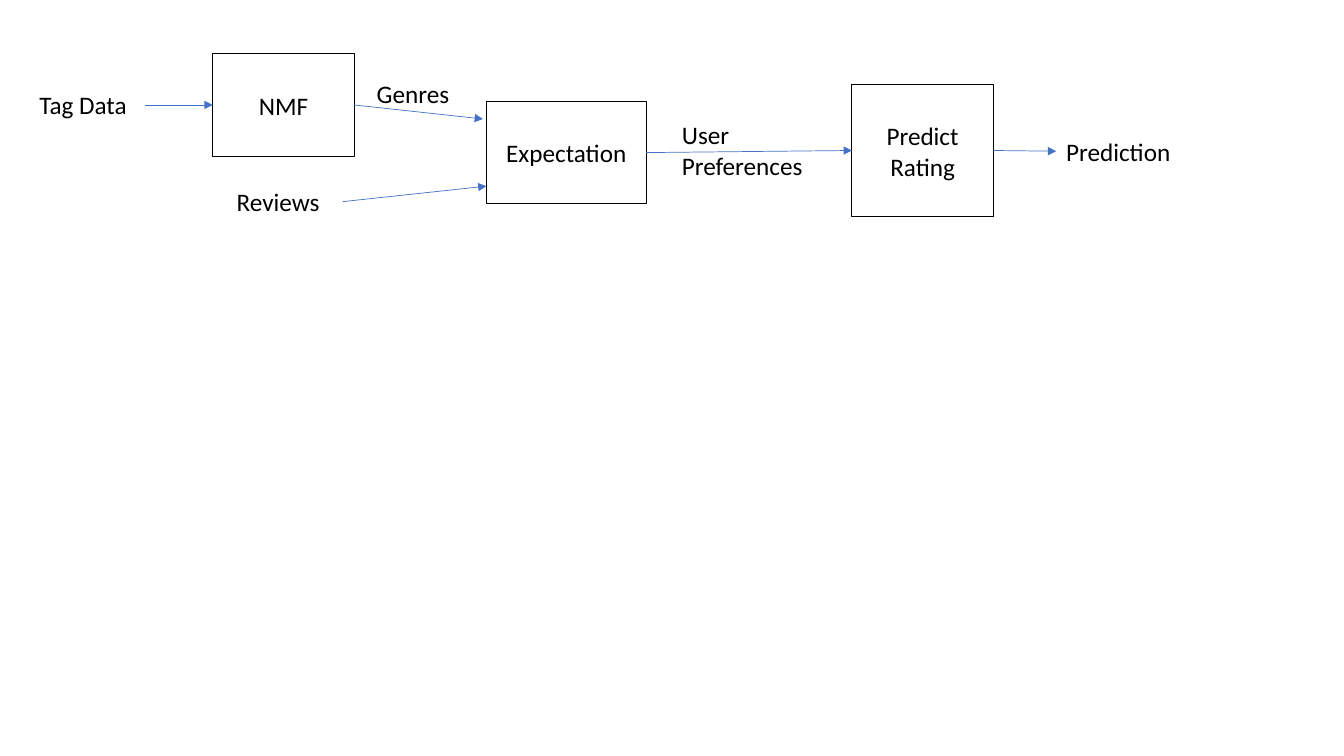
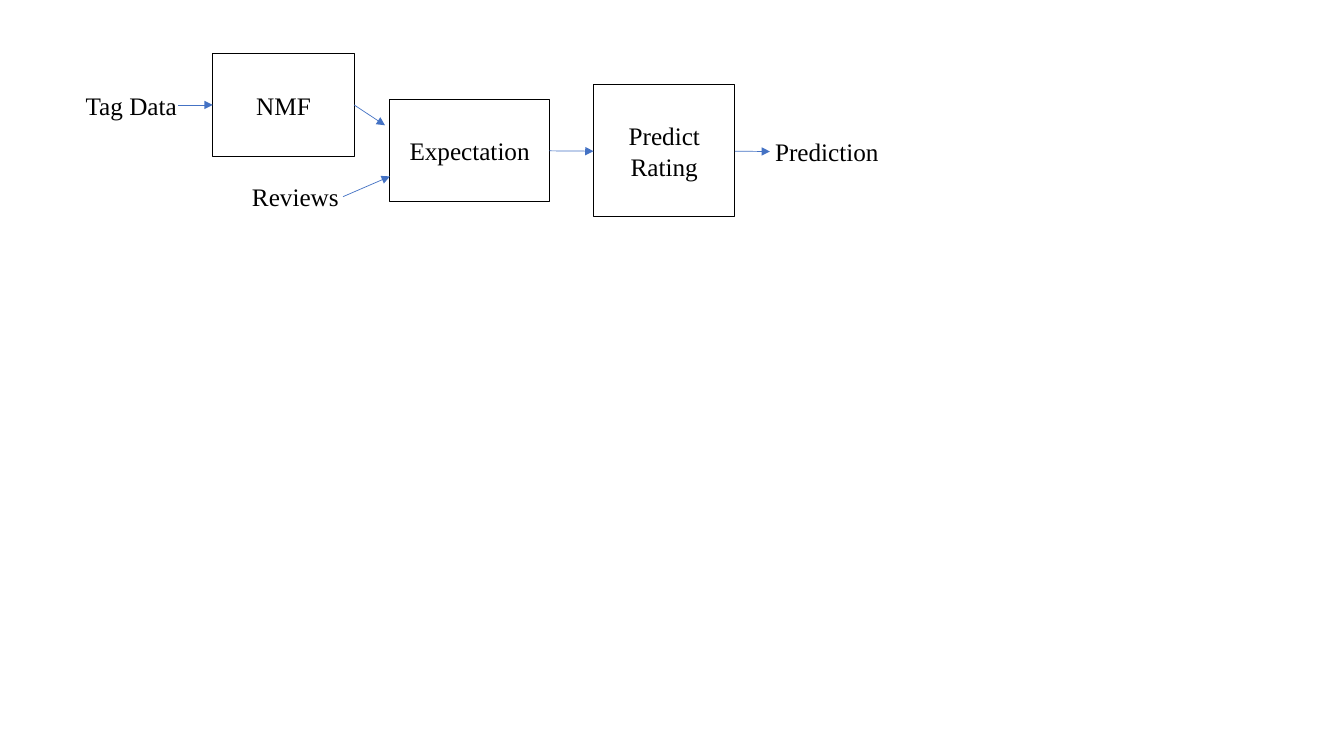
"""Builds two flow diagrams of a rating prediction pipeline."""
from pptx import Presentation, util as u
from pptx.dml.color import RGBColor
from pptx.enum import shapes, text
from pptx.oxml.ns import qn
from lxml import etree

BLACK, BLUE = "000000", "4472C4"
FONT_SIZE, BOX_LINE, ARROW_LINE = 18, 0.75, 0.5
BOX_SIZES = {"NMF": (101, 73), "Expectation": (114, 73), "Predict Rating": (101, 94.5)}
WIDE_INSETS, NO_INSETS, SLIM_INSETS = (7.2, 3.6, 7.2, 3.6), (0, 0, 0, 0), (3.6, 3.6, 7.2, 3.6)

DIAGRAMS = [
    {
        "font": "Calibri",
        "boxes": {"NMF": (152, 38.5), "Expectation": (347.5, 72.5), "Predict Rating": (608.5, 60.5)},
        "labels": [
            ("Tag Data", (21, 60.5, 83, 29), WIDE_INSETS),
            ("Reviews", (162, 129.6, 83, 29), WIDE_INSETS),
            ("Prediction", (754.5, 93.6, 103, 29), WIDE_INSETS),
            ("Genres", (262, 52.6, 83, 29), WIDE_INSETS),
            ("User Preferences", (480, 82, 107, 51), WIDE_INSETS),
        ],
        "arrows": [
            ((103.5, 75), (152, 75)),
            ((253, 75), (345, 85)),
            ((461.5, 109), (608.5, 107.5)),
            ((245, 144), (347.5, 133)),
            ((709.5, 107.5), (754.5, 108)),
        ],
    },
    {
        "font": "Times New Roman",
        "boxes": {"NMF": (152, 38.5), "Expectation": (278.5, 71), "Predict Rating": (424, 60.5)},
        "labels": [
            ("Tag Data", (61.2, 64.3, 67, 21.6), NO_INSETS),
            ("Reviews", (180, 129.6, 65, 21.6), NO_INSETS),
            ("Prediction", (550, 93.6, 103, 29), SLIM_INSETS),
        ],
        "arrows": [
            ((127.5, 75), (152, 75)),
            ((253, 75), (275, 89.5)),
            ((245, 140.5), (278.5, 126)),
            ((392.5, 107.75), (424, 108)),
            ((525, 108), (550, 108.25)),
        ],
    },
]


def color(code):
    return RGBColor.from_string(code)


def points(values):
    return [u.Pt(value) for value in values]


def write(shape, words, font, insets, align, anchor):
    frame = shape.text_frame
    frame.word_wrap = True
    frame.vertical_anchor = anchor
    frame.margin_left, frame.margin_top, frame.margin_right, frame.margin_bottom = points(insets)
    paragraph = frame.paragraphs[0]
    paragraph.text = words
    paragraph.alignment = align
    paragraph.font.name = font
    paragraph.font.size = u.Pt(FONT_SIZE)
    paragraph.font.color.rgb = color(BLACK)


def add_box(slide, name, corner, font):
    box = slide.shapes.add_shape(shapes.MSO_SHAPE.RECTANGLE, *points(corner + BOX_SIZES[name]))
    box.shadow.inherit = False
    box.fill.background()
    box.line.color.rgb = color(BLACK)
    box.line.width = u.Pt(BOX_LINE)
    write(box, name, font, WIDE_INSETS, text.PP_ALIGN.CENTER, text.MSO_ANCHOR.MIDDLE)


def add_label(slide, words, area, insets, font):
    label = slide.shapes.add_textbox(*points(area))
    write(label, words, font, insets, text.PP_ALIGN.LEFT, text.MSO_ANCHOR.TOP)


def add_arrow(slide, start, end):
    arrow = slide.shapes.add_connector(shapes.MSO_CONNECTOR.STRAIGHT, *points(start + end))
    arrow.line.color.rgb = color(BLUE)
    arrow.line.width = u.Pt(ARROW_LINE)
    etree.SubElement(arrow.line._get_or_add_ln(), qn("a:tailEnd"), type="triangle")
    etree.SubElement(arrow._element.spPr, qn("a:effectLst"))


deck = Presentation()
deck.slide_width, deck.slide_height = points((960, 540))
for diagram in DIAGRAMS:
    slide = deck.slides.add_slide(deck.slide_layouts[6])
    for name, corner in diagram["boxes"].items():
        add_box(slide, name, corner, diagram["font"])
    for words, area, insets in diagram["labels"]:
        add_label(slide, words, area, insets, diagram["font"])
    for start, end in diagram["arrows"]:
        add_arrow(slide, start, end)
deck.save("out.pptx")
